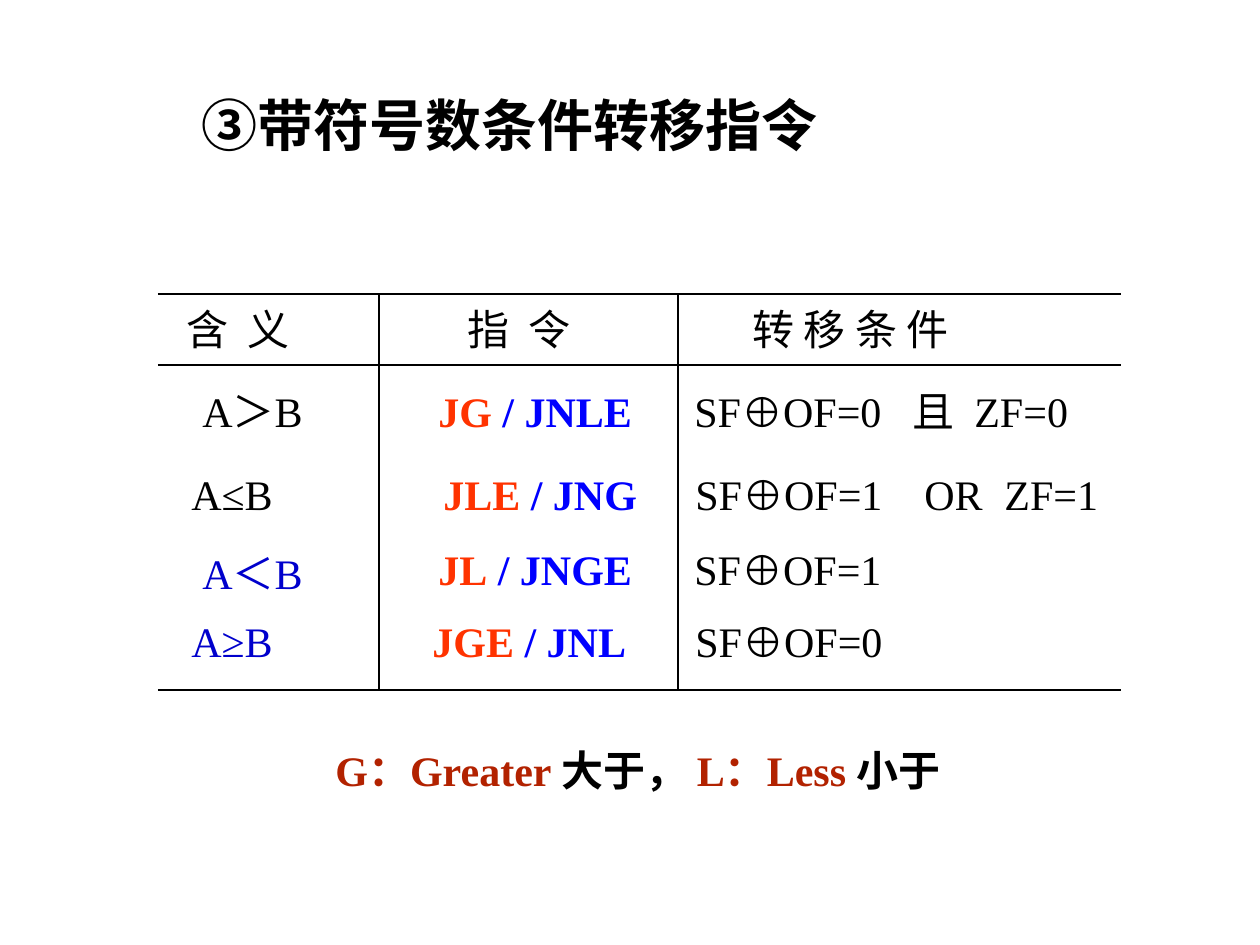
from lxml import etree
from pptx import Presentation, util as u
from pptx.dml.color import RGBColor
from pptx.enum import shapes, text
from pptx.oxml.ns import qn

PX = 914400 // 126
COLORS = {"black": "000000", "navy": "0000CC", "red": "FF3300",
          "blue": "0000FF", "brick": "B22200"}
LATIN, CJK = "Times New Roman", "Noto Sans CJK SC"
ROW_HEIGHT = 63


def px(*lengths):
    return [u.Emu(length * PX) for length in lengths]


def format_run(run, color, size=24, bold=False, latin=LATIN):
    run.font.size = u.Pt(size)
    run.font.bold = bold
    run.font.name = latin
    run.font.color.rgb = RGBColor.from_string(COLORS[color])
    east_asian = etree.SubElement(run.font._element, qn("a:ea"))
    east_asian.set("typeface", CJK)


def add_tab_stops(paragraph, stops):
    tab_list = etree.SubElement(paragraph._p.get_or_add_pPr(), qn("a:tabLst"))
    for stop in stops:
        etree.SubElement(tab_list, qn("a:tab"), pos=str(stop * PX), algn="l")


def add_label(slide, box, parts, bold=False, tabs=(), wrap=True):
    """Place one line of text made of (wording, colour) parts."""
    frame = slide.shapes.add_textbox(*px(*box)).text_frame
    frame.word_wrap = wrap
    frame.vertical_anchor = text.MSO_ANCHOR.MIDDLE
    line = frame.paragraphs[0]
    if tabs:
        add_tab_stops(line, tabs)
    for wording, color in parts:
        run = line.add_run()
        run.text = wording
        format_run(run, color, bold=bold)


def add_rule(slide, x1, y1, x2, y2):
    rule = slide.shapes.add_connector(
        shapes.MSO_CONNECTOR.STRAIGHT, *px(x1, y1, x2, y2))
    rule.line.color.rgb = RGBColor.from_string(COLORS["black"])
    rule.line.width = u.Pt(0.75)
    etree.SubElement(rule._element.spPr, qn("a:effectLst"))


def add_title(slide, wording):
    title = slide.shapes.title
    title.left, title.top, title.width, title.height = px(189, 95, 703, 69)
    frame = title.text_frame
    frame.text = wording
    frame.vertical_anchor = text.MSO_ANCHOR.BOTTOM
    frame.auto_size = text.MSO_AUTO_SIZE.NONE
    heading = frame.paragraphs[0]
    heading.alignment = text.PP_ALIGN.LEFT
    format_run(heading.runs[0], "black", size=32, bold=True, latin=CJK)


def add_grid(slide):
    left, right, top, bottom = 158, 1121, 294, 690
    for y in (top, 365, bottom):
        add_rule(slide, left, y, right, y)
    for x in (379, 678):
        add_rule(slide, x, top, x, bottom)


def add_headers(slide):
    for left, width, wording, tabs in ((174, 241, "含\t义", [61]),
                                       (455, 205, "指\t令", [61]),
                                       (740, 241, "转 移 条 件", [])):
        add_label(slide, (left, 297, width, ROW_HEIGHT),
                  [(wording, "black")], tabs=tabs)


def add_rows(slide):
    # top, (meaning left, top, wording, colour),
    # (instruction left, name, alias), (condition left, wording, tabs)
    rows = (
        (379, (190, 379, "A＞B", "black"), (426, "JG", " / JNLE"),
         (682, "SF⊕OF=0\t且\tZF=0", [218, 280])),
        (462, (179, 462, "A≤B", "black"), (431, "JLE", " / JNG"),
         (683, "SF⊕OF=1\tOR\tZF=1", [229, 309])),
        (537, (190, 541, "A＜B", "navy"), (426, "JL", " / JNGE"),
         (682, "SF⊕OF=1", [])),
        (609, (179, 609, "A≥B", "navy"), (420, "JGE", " / JNL"),
         (683, "SF⊕OF=0", [])),
    )
    for top, meaning, instruction, condition in rows:
        left, meaning_top, wording, color = meaning
        add_label(slide, (left, meaning_top, 193, ROW_HEIGHT),
                  [(wording, color)])
        left, name, alias = instruction
        add_label(slide, (left, top, 243, ROW_HEIGHT),
                  [(name, "red"), (alias, "blue")], bold=True)
        left, wording, tabs = condition
        add_label(slide, (left, top, 486, ROW_HEIGHT),
                  [(wording, "black")], tabs=tabs)


def add_legend(slide):
    add_label(slide, (323, 738, 702, ROW_HEIGHT),
              [("G：Greater ", "brick"), ("大于， ", "black"),
               ("L：Less ", "brick"), ("小于", "black")],
              bold=True, wrap=False)


def main():
    deck = Presentation()
    deck.slide_width, deck.slide_height = px(1260, 945)
    slide = deck.slides.add_slide(deck.slide_layouts[5])
    add_title(slide, "③带符号数条件转移指令")
    add_grid(slide)
    add_headers(slide)
    add_rows(slide)
    add_legend(slide)
    deck.save("out.pptx")


if __name__ == "__main__":
    main()
